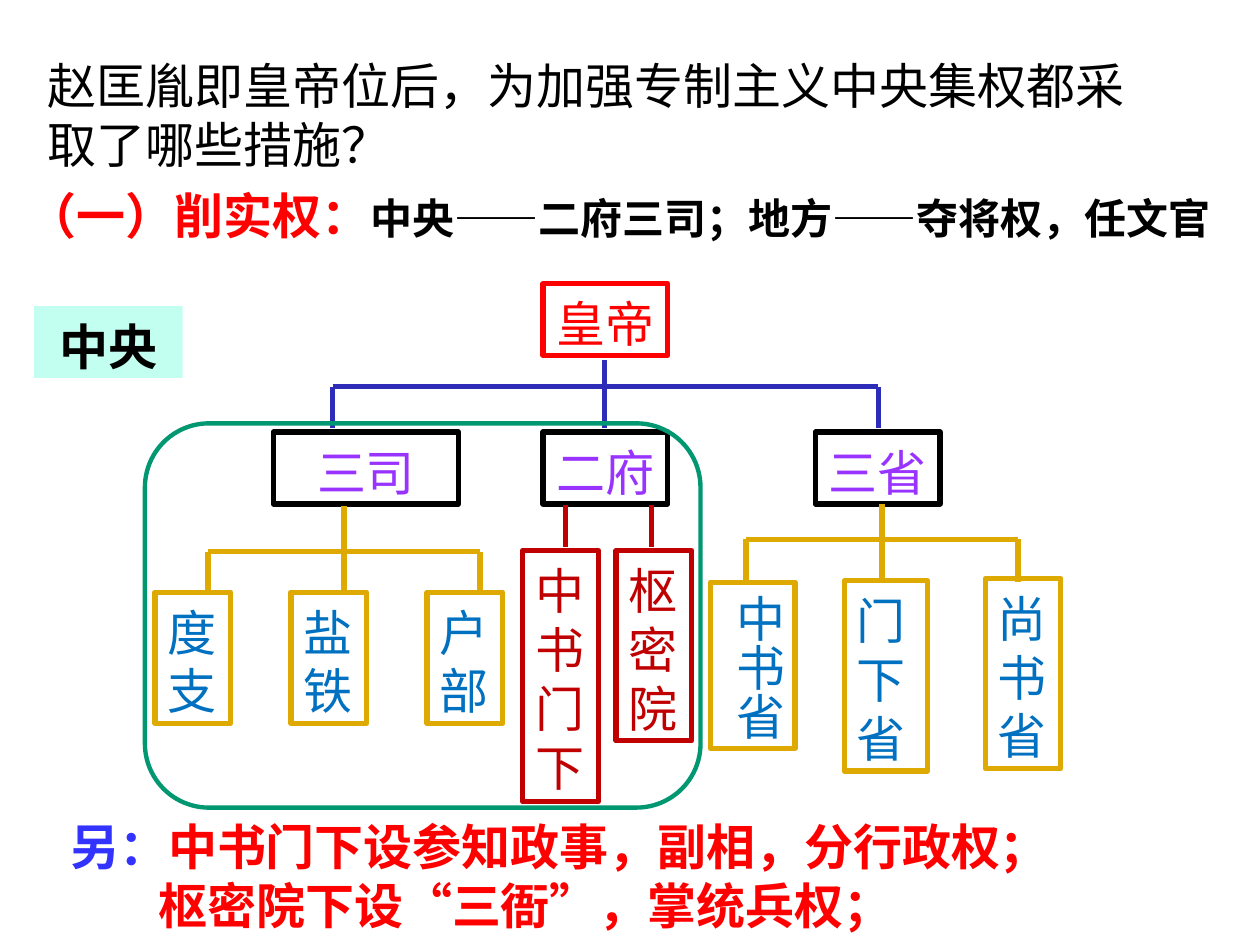
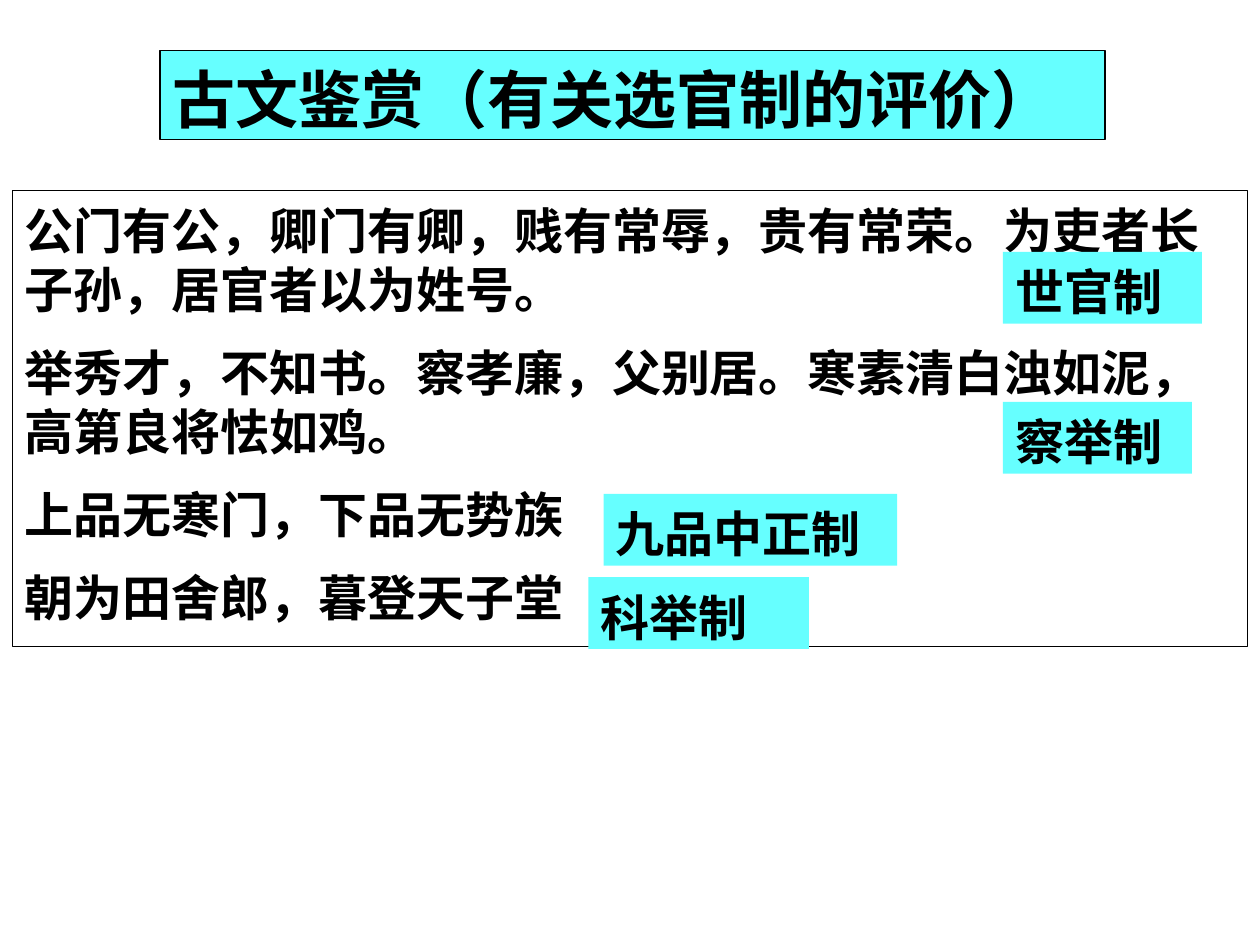
import pptx
import pptx.util
import pptx.dml.color
import pptx.enum.shapes
import pptx.enum.text
import pptx.oxml.ns
import lxml.etree

Inches = pptx.util.Inches
Pt = pptx.util.Pt
SHAPES = pptx.enum.shapes.MSO_SHAPE
ALIGN = pptx.enum.text.PP_ALIGN

COLORS = {
    "black": "000000", "red": "FF0000", "mint": "C2FFF0", "cyan": "66FFFF",
    "navy": "2D2DB9", "gold": "DEA900", "wine": "C00000", "blue": "0070C0",
    "violet": "9933FF", "indigo": "3333FF", "green": "009771",
}
SERIF = "Times New Roman"
SANS = "Noto Sans CJK SC"
PLAIN = "Noto Sans CJK JP"
LEAD = 1.2  # line pitch as a multiple of the text size


def rgb(name):
    return pptx.dml.color.RGBColor.from_string(COLORS[name])


def style(run, size, color, font, bold):
    run.font.size = Pt(size)
    run.font.bold = bold
    run.font.name = font
    run.font.color.rgb = rgb(color)
    if font != SERIF:
        face = lxml.etree.SubElement(run._r.get_or_add_rPr(), pptx.oxml.ns.qn("a:ea"))
        face.set("typeface", font)


def write(shape, paras, size=28, font=SERIF, bold=False, align=ALIGN.LEFT, gap=0):
    """Fill a shape with paragraphs, each a list of (text, colour[, size])."""
    frame = shape.text_frame
    frame.word_wrap = True
    frame.vertical_anchor = pptx.enum.text.MSO_ANCHOR.TOP
    frame.margin_top, frame.margin_bottom = Inches(0.08), Inches(0.02)
    for i, parts in enumerate(paras):
        para = frame.paragraphs[0] if i == 0 else frame.add_paragraph()
        para.alignment = align
        para.line_spacing = Pt(size * LEAD)
        para.space_before = Pt(gap if i else 0)
        for text, color, *own in parts:
            run = para.add_run()
            run.text = text
            style(run, own[0] if own else size, color, font, bold)


def label(slide, box, paras, **look):
    shape = slide.shapes.add_textbox(*map(Inches, box))
    write(shape, paras, **look)
    return shape


def block(slide, box, fill=None, line=None, width=3, kind=SHAPES.RECTANGLE):
    shape = slide.shapes.add_shape(kind, *map(Inches, box))
    shape.shadow.inherit = False
    if fill:
        shape.fill.solid()
        shape.fill.fore_color.rgb = rgb(fill)
    else:
        shape.fill.background()
    if line:
        shape.line.color.rgb = rgb(line)
        shape.line.width = Pt(width)
    else:
        shape.line.fill.background()
    return shape


def node(slide, box, text, line, color, align=ALIGN.LEFT):
    """Outlined box of the tree, one paragraph for each line of text."""
    shape = block(slide, box, line=line)
    write(shape, [[(row, color)] for row in text.split("\n")], align=align)
    return shape


def rule(slide, x1, y1, x2, y2, color):
    line = slide.shapes.add_connector(
        pptx.enum.shapes.MSO_CONNECTOR.STRAIGHT, *map(Inches, (x1, y1, x2, y2)))
    line.line.color.rgb = rgb(color)
    line.line.width = Pt(3)
    lxml.etree.SubElement(line._element.spPr, pptx.oxml.ns.qn("a:effectLst"))


def fork(slide, top, bar, foot, stem, ends, color):
    """Stem down to a bar, with a drop from the bar at each end."""
    rule(slide, stem, top, stem, bar, color)
    rule(slide, ends[0], bar, ends[-1], bar, color)
    for x in ends:
        rule(slide, x, bar, x, foot, color)


def tree(slide):
    node(slide, (4.31, 2.25, 0.99, 0.57), "皇帝", "red", "red", ALIGN.CENTER)
    fork(slide, 2.86, 3.07, 3.4, 4.8, (2.64, 4.8, 6.97), "navy")
    for text, left, width in (("三司", 2.17, 1.47), ("二府", 4.31, 0.99),
                              ("三省", 6.47, 0.99)):
        node(slide, (left, 3.43, width, 0.57), text, "black", "violet", ALIGN.CENTER)

    step = 1.08
    mids = [1.65 + step * i for i in range(3)]
    fork(slide, 4.02, 4.38, 4.7, mids[1], mids, "gold")
    for mid, text in zip(mids, ("度\n支", "盐\n铁", "户\n部")):
        node(slide, (mid - 0.42, 4.7, 0.6, 1.04), text, "gold", "blue")

    for x, left, height, text in ((4.49, 4.15, 1.99, "中\n书\n门\n下"),
                                  (5.17, 4.89, 1.51, "枢\n密\n院")):
        rule(slide, x, 4.01, x, 4.34, "wine")
        node(slide, (left, 4.37, 0.6, height), text, "wine", "wine")

    mids = [5.92 + step * i for i in range(3)]
    fork(slide, 4, 4.28, 4.62, mids[1], mids, "gold")
    tall = node(slide, (5.64, 4.62, 0.67, 1.32), "中书省", "gold", "blue")
    tall.text_frame._txBody.bodyPr.set("vert", "eaVert")
    tall.text_frame.margin_top = Inches(0.05)
    node(slide, (6.7, 4.61, 0.66, 1.51), "门下省", "gold", "blue")
    node(slide, (7.82, 4.59, 0.6, 1.51), "尚书省", "gold", "blue")

    block(slide, (1.15, 3.36, 4.41, 3.05), line="green", width=2.5,
          kind=SHAPES.ROUNDED_RECTANGLE)


def power(slide):
    """Slide on how the emperor took power from his ministers."""
    label(slide, (0.28, 0.36, 9.1, 1.04),
          [[("赵匡胤即皇帝位后，为加强专制主义中央集权都采取了哪些措施？", "black")]],
          font=PLAIN)
    label(slide, (0.12, 1.39, 9.88, 0.57),
          [[("（一）削实权：", "red"),
            ("中央——二府三司；地方——夺将权，任文官", "black", 24)]],
          font=SANS, bold=True)
    write(block(slide, (0.27, 2.43, 1.18, 0.57), "mint"), [[("中央", "black")]],
          font=SANS, bold=True, align=ALIGN.CENTER)
    tree(slide)
    note = label(slide, (0.46, 6.4, 9.5, 1.04),
                 [[("另：", "indigo"), ("中书门下设参知政事，副相，分行政权；", "red")],
                  [("枢密院下设“三衙”，掌统兵权；", "red")]], bold=True)
    last = note.text_frame.paragraphs[1]
    last._p.get_or_add_pPr().set("marL", str(Inches(0.7)))


def verse(slide):
    """Slide of old verses, each tagged with the system it judges."""
    lines = ("公门有公，卿门有卿，贱有常辱，贵有常荣。为吏者长子孙，居官者以为姓号。",
             "举秀才，不知书。察孝廉，父别居。寒素清白浊如泥，高第良将怯如鸡。",
             "上品无寒门，下品无势族",
             "朝为田舍郎，暮登天子堂")
    write(block(slide, (0.1, 1.51, 9.8, 3.62), line="black", width=0.75),
          [[(text, "black")] for text in lines], font=SANS, bold=True, gap=14)
    write(block(slide, (1.27, 0.4, 7.5, 0.71), "cyan", "black", 0.75),
          [[("古文鉴赏（有关选官制的评价）", "black")]], size=36, bold=True)
    for text, left, top, width in (("世官制", 7.96, 2, 1.58), ("察举制", 7.96, 3.19, 1.5),
                                   ("九品中正制", 4.79, 3.92, 2.33),
                                   ("科举制", 4.67, 4.58, 1.75)):
        write(block(slide, (left, top, width, 0.57), "cyan"),
              [[(text, "black")]], bold=True)


def main():
    deck = pptx.Presentation()
    deck.slide_width, deck.slide_height = Inches(10), Inches(7.5)
    for build in (power, verse):
        build(deck.slides.add_slide(deck.slide_layouts[6]))
    deck.save("out.pptx")


if __name__ == "__main__":
    main()
